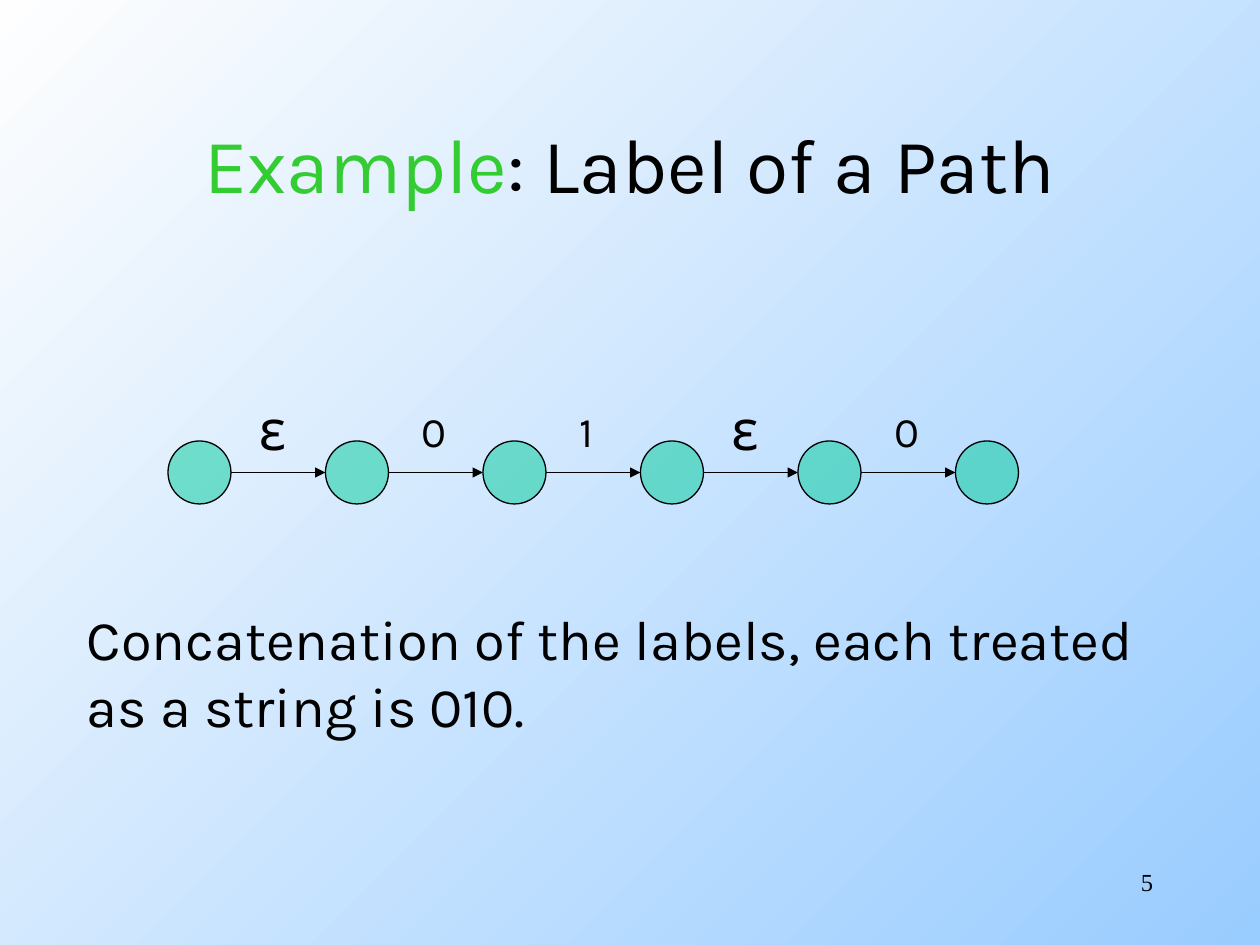
from lxml import etree
from pptx import Presentation
from pptx.dml.color import RGBColor
from pptx.enum import shapes, text
from pptx.oxml import ns
from pptx.util import Pt

COLORS = {
    "sky": "99CCFF",
    "white": "FEFEFE",
    "node": "00CC99",
    "black": "000000",
    "accent": "33CC33",
}
LABELS = ["ε", "0", "1", "ε", "0"]
NODE_X, NODE_Y, NODE_SIZE, NODE_STEP = 96, 252, 36, 90


def rgb(name):
    return RGBColor.from_string(COLORS[name])


def paint_background(slide):
    fill = slide.background.fill
    fill.gradient()
    fill.gradient_angle = 135
    for stop, position, name in zip(fill.gradient_stops, (0, 1), ("sky", "white")):
        stop.position = position
        stop.color.rgb = rgb(name)


def add_text(slide, box, lines, size, font="Karla", align=text.PP_ALIGN.LEFT,
             anchor=text.MSO_ANCHOR.TOP, wrap=False):
    tf = slide.shapes.add_textbox(*map(Pt, box)).text_frame
    tf.word_wrap = wrap
    tf.vertical_anchor = anchor
    for i, runs in enumerate(lines):
        p = tf.add_paragraph() if i else tf.paragraphs[0]
        p.alignment = align
        for content, color in runs:
            r = p.add_run()
            r.text = content
            r.font.name = font
            r.font.size = Pt(size)
            r.font.color.rgb = rgb(color)


def add_node(slide, x):
    sp = slide.shapes.add_shape(shapes.MSO_SHAPE.OVAL, Pt(x), Pt(NODE_Y),
                                Pt(NODE_SIZE), Pt(NODE_SIZE))
    sp.shadow.inherit = False
    sp.fill.solid()
    sp.fill.fore_color.rgb = rgb("node")
    color = sp.fill._xPr.find(".//" + ns.qn("a:srgbClr"))
    etree.SubElement(color, ns.qn("a:alpha"), val="50000")
    sp.line.color.rgb = rgb("black")
    sp.line.width = Pt(0.75)


def add_arrow(slide, x1, x2, y):
    line = slide.shapes.add_connector(shapes.MSO_CONNECTOR.STRAIGHT,
                                      Pt(x1), Pt(y), Pt(x2), Pt(y))
    line.line.color.rgb = rgb("black")
    line.line.width = Pt(0.75)
    etree.SubElement(line.line._get_or_add_ln(), ns.qn("a:tailEnd"), type="triangle")
    etree.SubElement(line._element.spPr, ns.qn("a:effectLst"))


def add_label(slide, x, label):
    runs = [[(label, "black")]]
    if label == "ε":
        add_text(slide, (x + 43, 222, 29.5, 46), runs, 32, "Noto Sans Mono")
    else:
        add_text(slide, (x + 48, 228, 28, 36), runs, 24)


def add_path(slide):
    xs = [NODE_X + i * NODE_STEP for i in range(len(LABELS) + 1)]
    for x in xs:
        add_node(slide, x)
    for x, next_x, label in zip(xs, xs[1:], LABELS):
        add_arrow(slide, x + NODE_SIZE, next_x, NODE_Y + NODE_SIZE / 2)
        add_label(slide, x, label)


def main():
    prs = Presentation()
    prs.slide_width, prs.slide_height = Pt(720), Pt(540)
    slide = prs.slides.add_slide(prs.slide_layouts[6])
    paint_background(slide)
    add_text(slide, (54, 48, 612, 90),
             [[("Example", "accent"), (": Label of a Path", "black")]], 44,
             align=text.PP_ALIGN.CENTER, anchor=text.MSO_ANCHOR.MIDDLE, wrap=True)
    add_path(slide)
    add_text(slide, (42.5, 342, 633, 84),
             [[("Concatenation of the labels, each treated", "black")],
              [("as a string is 010.", "black")]], 32)
    add_text(slide, (516, 492, 150, 36), [[("5", "black")]], 14,
             "Times New Roman", align=text.PP_ALIGN.RIGHT, wrap=True)
    prs.save("out.pptx")


if __name__ == "__main__":
    main()
